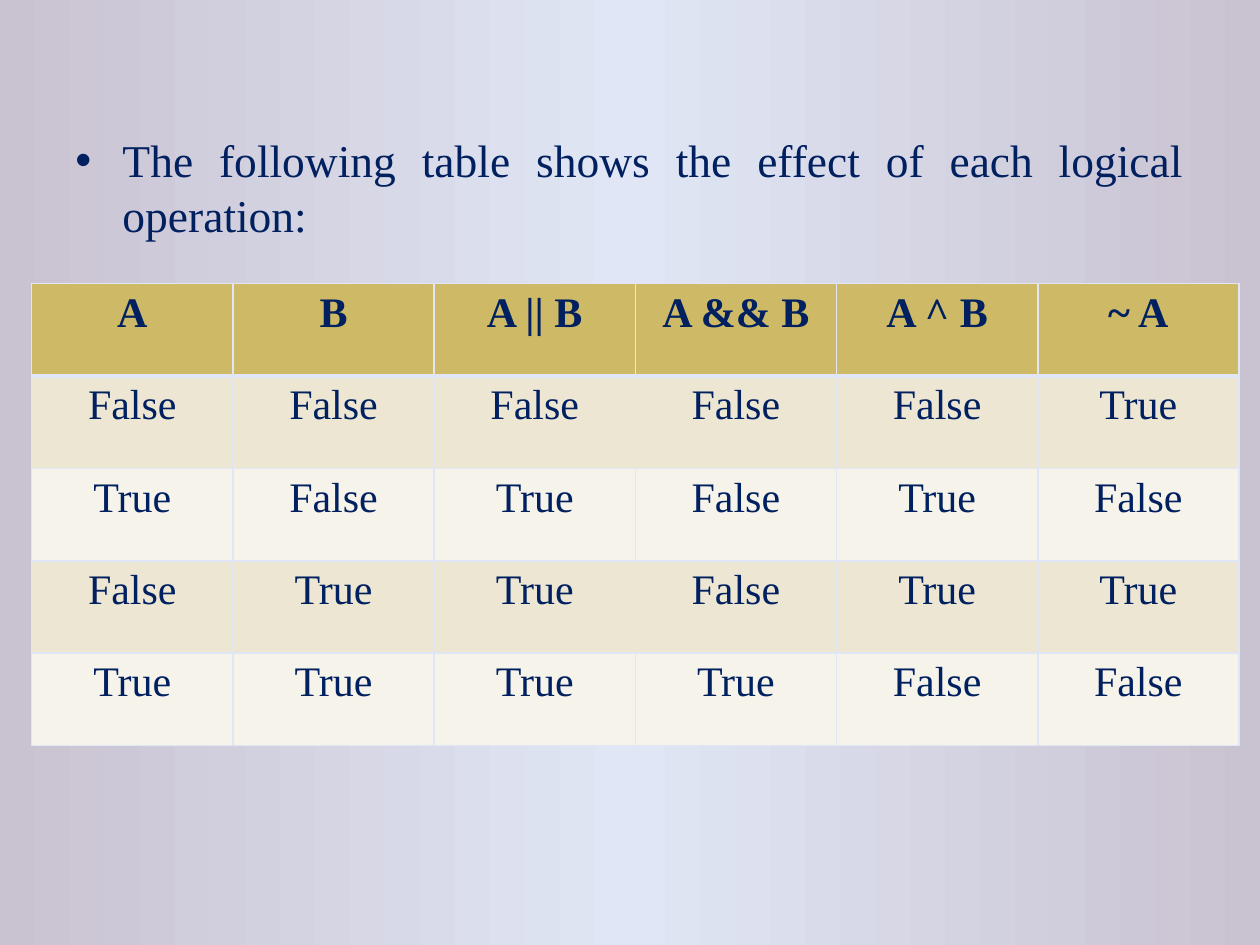
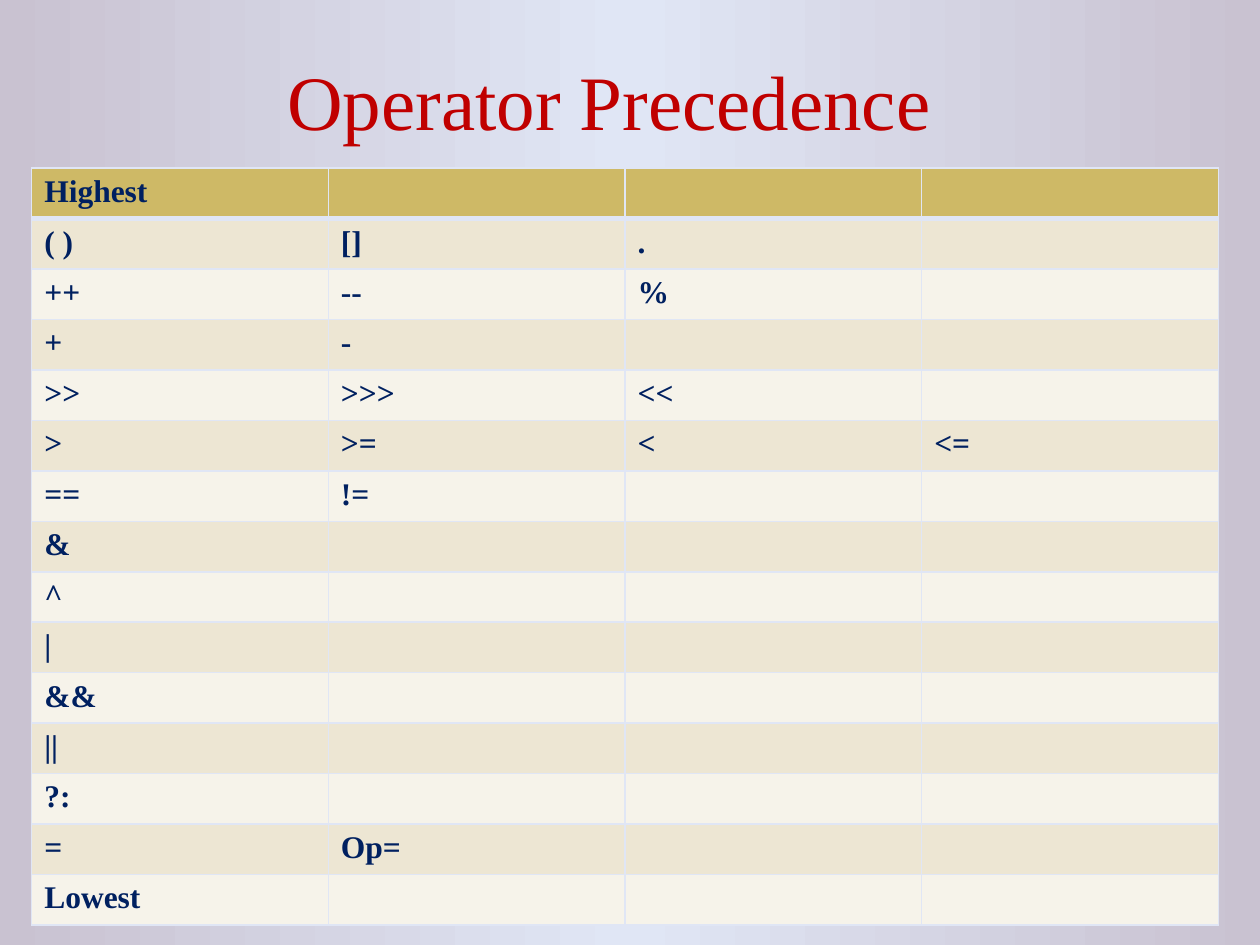
"""Build two slides on logical operations and operator precedence."""
from copy import deepcopy
from dataclasses import dataclass

from lxml import etree
from pptx import Presentation
from pptx.dml.color import RGBColor
from pptx.enum.text import MSO_ANCHOR, PP_ALIGN
from pptx.oxml.ns import qn
from pptx.util import Cm, Pt

CENTER, LEFT, JUSTIFY = PP_ALIGN.CENTER, PP_ALIGN.LEFT, PP_ALIGN.JUSTIFY
TOP, MIDDLE = MSO_ANCHOR.TOP, MSO_ANCHOR.MIDDLE
BLANK_LAYOUT = 6

INTRODUCTION = "The following table shows the effect of each logical operation:"
TRUTH_ROWS = [
    ("A", "B", "A || B", "A && B", "A ^ B", "~ A"),
    ("False", "False", "False", "False", "False", "True"),
    ("True", "False", "True", "False", "True", "False"),
    ("False", "True", "True", "False", "True", "True"),
    ("True", "True", "True", "True", "False", "False"),
]

PRECEDENCE_TITLE = "Operator Precedence"
PRECEDENCE_COLUMNS = 4
PRECEDENCE_ROWS = [
    ("Highest",),
    ("( )", "[]", "."),
    ("++", "--", "%"),
    ("+", "-"),
    (">>", ">>>", "<<"),
    (">", ">=", "<", "<="),
    ("==", "!="),
    ("&",),
    ("^",),
    ("|",),
    ("&&",),
    ("||",),
    ("?:",),
    ("=", "Op="),
    ("Lowest",),
]


@dataclass(frozen=True)
class Theme:
    """Hold the shared font, colours and type sizes."""
    font: str = "Times New Roman"
    edge: str = "C9C2D1"
    glow: str = "E0E6F5"
    ink: str = "002060"
    title: str = "C00000"
    header: str = "CEB966"
    bands: tuple = ("F6F3EA", "EDE6D3")
    title_size: int = 44
    body_size: int = 26
    truth_size: int = 24
    precedence_size: int = 18
    thin: int = 1
    thick: int = 3


THEME = Theme()


def color(value):
    """Turn a hex string into a colour."""
    return RGBColor.from_string(value)


def paint_background(master):
    """Fill the master with a gradient that is lightest in the middle."""
    fill = master.background.fill
    fill.gradient()
    fill.gradient_angle = 180
    stop_list = next(master.element.iter(qn("a:gsLst")))
    stop_list.append(deepcopy(stop_list[-1]))
    for index, (stop, value) in enumerate(
            zip(fill.gradient_stops, (THEME.edge, THEME.glow, THEME.edge))):
        stop.position = index / 2
        stop.color.rgb = color(value)


def add_run(paragraph, text, size, value=THEME.ink, bold=False):
    """Append a styled run to a paragraph."""
    run = paragraph.add_run()
    run.text = text
    run.font.name = THEME.font
    run.font.size = Pt(size)
    run.font.bold = bold
    run.font.color.rgb = color(value)


def add_text(slide, box, text, size, value, align, anchor):
    """Add a wrapped text box and return its paragraph."""
    frame = slide.shapes.add_textbox(*map(Cm, box)).text_frame
    frame.word_wrap = True
    frame.vertical_anchor = anchor
    paragraph = frame.paragraphs[0]
    paragraph.alignment = align
    add_run(paragraph, text, size, value)
    return paragraph


def add_bullet(paragraph, indent):
    """Give a paragraph a hanging round bullet."""
    properties = paragraph._p.get_or_add_pPr()
    properties.set("marL", str(indent))
    properties.set("indent", str(-indent))
    etree.SubElement(properties, qn("a:buFont"), typeface="Arial")
    etree.SubElement(properties, qn("a:buChar"), char="•")


def set_borders(cell, row_index):
    """Draw thin cell borders with a thick rule below the header."""
    top = THEME.thick if row_index == 1 else THEME.thin
    bottom = THEME.thick if row_index == 0 else THEME.thin
    widths = {"L": THEME.thin, "R": THEME.thin, "T": top, "B": bottom}
    properties = cell._tc.get_or_add_tcPr()
    for index, (side, width) in enumerate(widths.items()):
        line = etree.Element(qn(f"a:ln{side}"), w=str(Pt(width)))
        fill = etree.SubElement(line, qn("a:solidFill"))
        etree.SubElement(fill, qn("a:srgbClr"), val=THEME.glow)
        properties.insert(index, line)


def add_grid(slide, box, rows, column_count, size, align, bold_rows):
    """Add a banded table with equal columns and rows."""
    left, top, width, height = map(Cm, box)
    table = slide.shapes.add_table(
        len(rows), column_count, left, top, width, height).table
    for row_index, texts in enumerate(rows):
        band = THEME.bands[row_index % 2] if row_index else THEME.header
        for column_index in range(column_count):
            cell = table.cell(row_index, column_index)
            cell.fill.solid()
            cell.fill.fore_color.rgb = color(band)
            set_borders(cell, row_index)
            if column_index < len(texts):
                paragraph = cell.text_frame.paragraphs[0]
                paragraph.alignment = align
                add_run(paragraph, texts[column_index], size,
                        bold=row_index < bold_rows)


def build_truth_slide(slide):
    """Show the result of each logical operation."""
    paragraph = add_text(slide, (1.27, 2.54, 22.86, 8.69), INTRODUCTION,
                         THEME.body_size, THEME.ink, JUSTIFY, TOP)
    paragraph.space_before = Pt(5)
    add_bullet(paragraph, Cm(0.95))
    add_grid(slide, (0.64, 5.72, 24.34, 9.31), TRUTH_ROWS,
             len(TRUTH_ROWS[0]), THEME.truth_size, CENTER, 1)


def build_precedence_slide(slide):
    """List the operators from highest to lowest precedence."""
    add_text(slide, (0.85, 0.42, 22.86, 3.18), PRECEDENCE_TITLE,
             THEME.title_size, THEME.title, CENTER, MIDDLE)
    add_grid(slide, (0.64, 3.39, 23.92, 15.24), PRECEDENCE_ROWS,
             PRECEDENCE_COLUMNS, THEME.precedence_size, LEFT,
             len(PRECEDENCE_ROWS))


def main():
    """Create and save the presentation."""
    presentation = Presentation()
    presentation.slide_width = Cm(25.4)
    presentation.slide_height = Cm(19.05)
    paint_background(presentation.slide_master)
    layout = presentation.slide_layouts[BLANK_LAYOUT]
    for build in (build_truth_slide, build_precedence_slide):
        build(presentation.slides.add_slide(layout))
    presentation.save("out.pptx")


if __name__ == "__main__":
    main()
